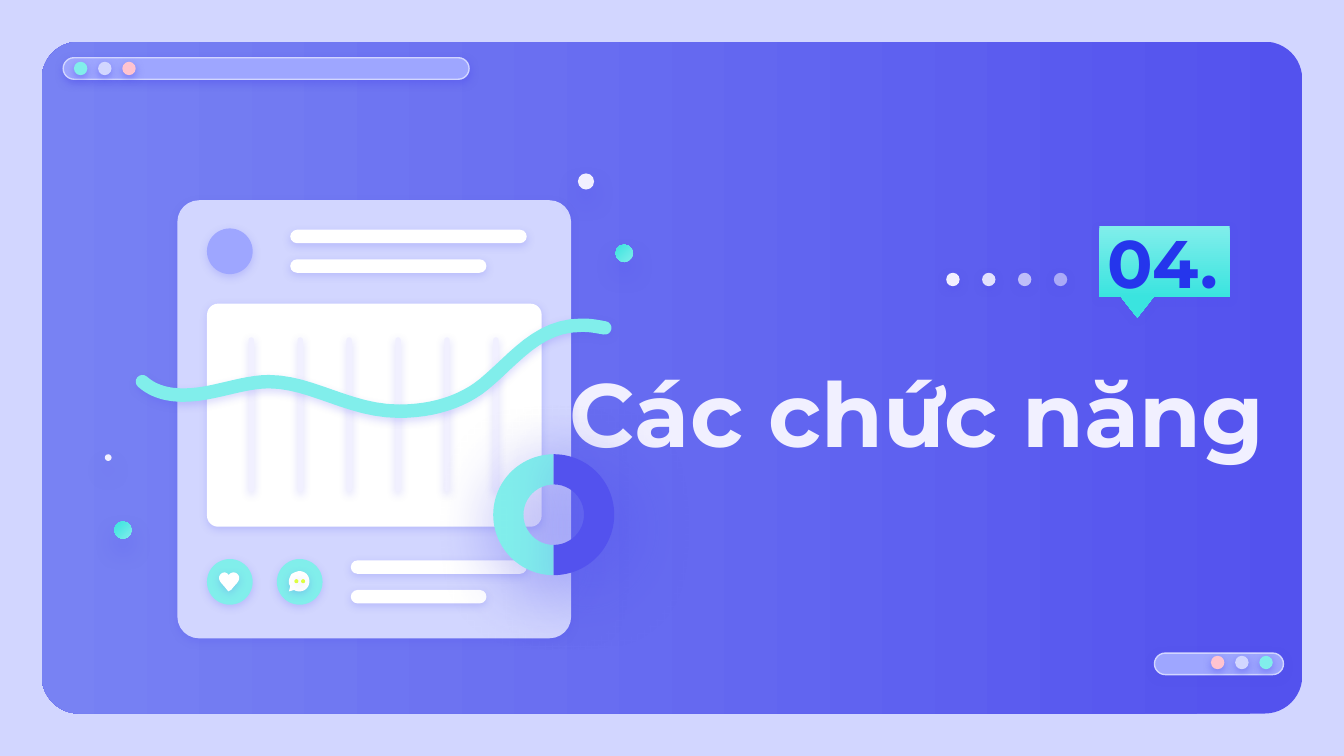
import math
from dataclasses import dataclass
from typing import Optional

import pptx
import pptx.util
import pptx.dml.color
import pptx.enum.shapes
import pptx.enum.text
import pptx.oxml.ns
from lxml import etree
from pptx.util import Inches

KIND = pptx.enum.shapes.MSO_SHAPE
ALIGN = pptx.enum.text.PP_ALIGN
ANCHOR = pptx.enum.text.MSO_ANCHOR
COLORS = {
    "pale": "D2D6FF", "blue": "5352EE", "sky": "7882F3", "lilac": "9EA6FF",
    "mint": "81EEEB", "teal": "3AE4DF", "pink": "FFC3D0", "snow": "F1F0FF",
    "white": "FFFFFF", "lime": "DEFF3F", "ink": "2535EC",
}
Point = tuple[float, float]


@dataclass(frozen=True)
class Shade:
    """Shadow: opacity in percent, blur and distance in points, angle in degrees."""
    alpha: int
    blur: float
    dist: float
    angle: int = 90


@dataclass(frozen=True)
class Blend:
    """Two-colour gradient; the angle runs clockwise."""
    first: str
    last: str
    angle: int


HARD = Shade(50, 4.5, 1.5)
SOFT = Shade(20, 4.5, 1.5)
CALL = Shade(24, 4.5, 1.5)
RING = Shade(67, 38.2, 9, 49)
GLOW = Shade(38, 12.4, 6.8)


@dataclass(frozen=True)
class Item:
    kind: int
    left: float
    top: float
    width: float
    height: float
    fill: str | Blend
    shade: Optional[Shade] = None
    adjust: tuple[float, ...] = ()
    spin: int = 0
    line: Optional[str] = None
    alpha: int = 100


def rgb(name: str):
    return pptx.dml.color.RGBColor.from_string(COLORS[name])


def tag(name: str) -> str:
    return pptx.oxml.ns.qn("a:" + name)


def paint(shape, fill: str | Blend, shade: Optional[Shade]) -> None:
    if isinstance(fill, Blend):
        shape.fill.gradient()
        shape.fill.gradient_angle = 360 - fill.angle
        for stop, name in zip(shape.fill.gradient_stops, (fill.first, fill.last)):
            stop.color.rgb = rgb(name)
    else:
        shape.fill.solid()
        shape.fill.fore_color.rgb = rgb(fill)
    shape.line.fill.background()
    shape.shadow.inherit = False
    if shade:
        effects = shape.element.spPr.find(tag("effectLst"))
        outer = etree.SubElement(
            effects, tag("outerShdw"), blurRad=str(int(shade.blur * 12700)),
            dist=str(int(shade.dist * 12700)), dir=str(shade.angle * 60000),
            algn="bl", rotWithShape="0")
        color = etree.SubElement(outer, tag("srgbClr"), val=COLORS["blue"])
        etree.SubElement(color, tag("alpha"), val=str(shade.alpha * 1000))


def draw(slide, item: Item) -> None:
    shape = slide.shapes.add_shape(
        item.kind, Inches(item.left), Inches(item.top),
        Inches(item.width), Inches(item.height))
    for i, value in enumerate(item.adjust):
        shape.adjustments[i] = value
    shape.rotation = item.spin
    paint(shape, item.fill, item.shade)
    if item.line:
        shape.line.color.rgb = rgb(item.line)
        shape.line.width = pptx.util.Pt(0.75)
    if item.alpha < 100:
        color = shape.element.spPr.find(tag("solidFill"))[0]
        etree.SubElement(color, tag("alpha"), val=str(item.alpha * 1000))


def dot(left: float, top: float, size: float, fill: str | Blend,
        shade: Shade, alpha: int = 100) -> Item:
    return Item(KIND.OVAL, left, top, size, size, fill, shade, spin=90, alpha=alpha)


def box(left: float, top: float, width: float, height: float, fill: str | Blend,
        shade: Optional[Shade], round_by: float = 0.5, line: Optional[str] = None) -> Item:
    return Item(KIND.ROUNDED_RECTANGLE, left, top, width, height, fill, shade,
                (round_by,), line=line)


def trace(start: Point, parts: list[tuple[float, ...]], steps: int = 12) -> list[Point]:
    """Points along a run of lines (2 numbers) and cubic curves (6 numbers)."""
    points = [start]
    for part in parts:
        if len(part) == 2:
            points.append(part)
            continue
        (x0, y0), (x1, y1, x2, y2, x3, y3) = points[-1], part
        for i in range(1, steps + 1):
            t = i / steps
            a, b, c, d = (1 - t) ** 3, 3 * t * (1 - t) ** 2, 3 * t * t * (1 - t), t ** 3
            points.append((a * x0 + b * x1 + c * x2 + d * x3,
                           a * y0 + b * y1 + c * y2 + d * y3))
    return points


def thicken(points: list[Point], half: float) -> list[Point]:
    """Outline of a band with round ends along the points."""
    sides, angles = ([], []), []
    for i, (x, y) in enumerate(points):
        (xa, ya), (xb, yb) = points[max(i - 1, 0)], points[min(i + 1, len(points) - 1)]
        angle = math.atan2(yb - ya, xb - xa)
        angles.append(angle)
        for side, turn in zip(sides, (-math.pi / 2, math.pi / 2)):
            side.append((x + half * math.cos(angle + turn), y + half * math.sin(angle + turn)))

    def cap(center: Point, first: float) -> list[Point]:
        return [(center[0] + half * math.cos(first + math.pi * i / 8),
                 center[1] + half * math.sin(first + math.pi * i / 8)) for i in range(1, 8)]

    return (sides[0] + cap(points[-1], angles[-1] - math.pi / 2)
            + sides[1][::-1] + cap(points[0], angles[0] + math.pi / 2))


def shape_out(slide, points: list[Point], fill: str) -> None:
    spots = [(Inches(x), Inches(y)) for x, y in points]
    pen = slide.shapes.build_freeform(*spots[0])
    pen.add_line_segments(spots[1:], close=True)
    paint(pen.convert_to_shape(), fill, SOFT)


def write(slide, text: str, left: float, top: float, width: float, height: float,
          size: int, color: str, anchor) -> None:
    frame = slide.shapes.add_textbox(
        Inches(left), Inches(top), Inches(width), Inches(height)).text_frame
    frame.word_wrap = True
    frame.vertical_anchor = anchor
    frame.margin_left = frame.margin_right = Inches(0.1)
    frame.margin_top = frame.margin_bottom = Inches(0.1)
    para = frame.paragraphs[0]
    para.text = text
    para.alignment = ALIGN.RIGHT
    para.font.name, para.font.size, para.font.bold = "Montserrat", pptx.util.Pt(size), True
    para.font.color.rgb = rgb(color)


HEART = trace((1.67, 4.26), [
    (1.65, 4.26, 1.63, 4.28, 1.63, 4.3), (1.63, 4.33, 1.66, 4.35, 1.69, 4.39),
    (1.7, 4.4), (1.72, 4.39), (1.75, 4.35, 1.78, 4.33, 1.78, 4.3),
    (1.78, 4.28, 1.76, 4.26, 1.74, 4.26), (1.72, 4.26, 1.71, 4.27, 1.7, 4.28),
    (1.7, 4.27, 1.68, 4.26, 1.67, 4.26)])
CHAT = trace((2.23, 4.25), [
    (2.21, 4.25, 2.19, 4.26, 2.17, 4.27), (2.15, 4.3, 2.14, 4.34, 2.16, 4.36),
    (2.15, 4.4), (2.19, 4.39), (2.2, 4.4, 2.22, 4.4, 2.23, 4.4),
    (2.25, 4.4, 2.27, 4.39, 2.28, 4.38), (2.31, 4.35, 2.31, 4.3, 2.28, 4.27),
    (2.27, 4.26, 2.25, 4.25, 2.23, 4.25)])
WAVE = thicken(trace((1.06, 2.84), [
    (1.15, 2.92, 1.26, 2.94, 1.37, 2.94), (1.58, 2.94, 1.8, 2.84, 2, 2.84),
    (2.32, 2.84, 2.6, 3.06, 2.97, 3.06), (3.22, 3.06, 3.44, 2.99, 3.6, 2.86),
    (3.83, 2.67, 4, 2.42, 4.33, 2.42), (4.4, 2.42, 4.44, 2.43, 4.5, 2.44)]), 0.05)

LIGHTS = ("mint", "pale", "pink")
FRAME = [
    box(0.31, 0.31, 9.38, 5, Blend("blue", "sky", 180), None, 0.056),
    box(0.47, 0.43, 3.02, 0.16, "lilac", HARD, line="pale"),
    *(dot(0.55 + 0.18 * i, 0.46, 0.1, name, HARD) for i, name in enumerate(LIGHTS)),
    box(8.59, 4.86, 0.96, 0.16, "lilac", HARD, line="pale"),
    *(dot(9.37 - 0.18 * i, 4.88, 0.1, name, HARD) for i, name in enumerate(LIGHTS)),
    Item(KIND.ROUNDED_RECTANGULAR_CALLOUT, 8.18, 1.68, 0.97, 0.53,
         Blend("mint", "teal", 90), CALL, (-0.209, 0.79, 0)),
]
CARD = [
    box(1.32, 1.49, 2.93, 3.26, "pale", SOFT, 0.055),
    *(box(left, top, right - left, 0.1, "white", SOFT) for left, top, right in (
        (2.16, 1.71, 3.92), (2.16, 1.93, 3.62), (2.61, 4.17, 3.92), (2.61, 4.39, 3.62))),
    box(1.54, 2.26, 2.49, 1.66, "white", SOFT, 0.05),
    dot(1.54, 1.7, 0.34, "lilac", SOFT),
    *(dot(left, 4.16, 0.34, "mint", SOFT) for left in (1.54, 2.06)),
    *(box(1.85 + 0.364 * i, 2.51, 0.04, 1.15, "snow", SOFT) for i in range(6)),
]
DROP = Blend("mint", "teal", 135)
FRONT = [
    *(dot(left, 4.31, 0.03, "lime", SOFT) for left in (2.19, 2.24)),
    *(Item(KIND.BLOCK_ARC, 3.67, 3.38, 0.9, 0.9, fill, RING, (108, 0, 0.25), spin)
      for fill, spin in (("mint", 270), ("blue", 90))),
    dot(4.58, 1.82, 0.13, DROP, GLOW), dot(4.3, 1.29, 0.12, "snow", GLOW),
    dot(0.85, 3.88, 0.13, DROP, GLOW), dot(0.78, 3.38, 0.05, "snow", GLOW),
    *(dot(7.04 + 0.267 * i, 2.03, 0.1, "snow", HARD, alpha)
      for i, alpha in enumerate((100, 90, 67, 54))),
]


def main() -> None:
    deck = pptx.Presentation()
    deck.slide_width, deck.slide_height = Inches(10), Inches(10) * 9 // 16
    slide = deck.slides.add_slide(deck.slide_layouts[6])
    slide.background.fill.solid()
    slide.background.fill.fore_color.rgb = rgb("pale")
    for item in FRAME:
        draw(slide, item)
    write(slide, "Các chức năng", 3.84, 2.35, 5.67, 1.42, 48, "snow", ANCHOR.MIDDLE)
    write(slide, "04.", 7.54, 1.82, 1.62, 0.53, 36, "ink", ANCHOR.BOTTOM)
    for item in CARD:
        draw(slide, item)
    for points, fill in ((HEART, "white"), (CHAT, "white"), (WAVE, "mint")):
        shape_out(slide, points, fill)
    for item in FRONT:
        draw(slide, item)
    deck.save("out.pptx")


if __name__ == "__main__":
    main()
